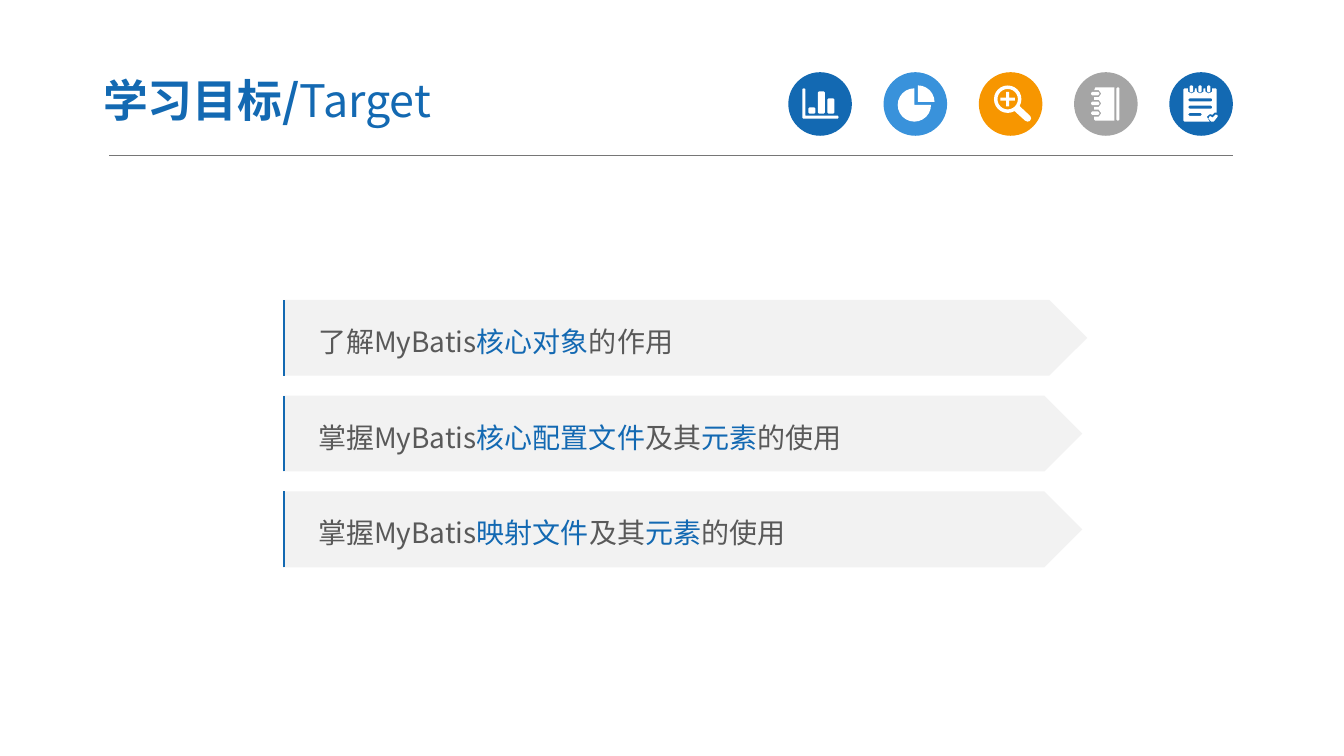
from math import cos, radians, sin
from lxml.etree import SubElement
from pptx import Presentation
from pptx.dml.color import RGBColor
from pptx.enum.shapes import MSO_CONNECTOR, MSO_SHAPE
from pptx.enum.text import MSO_ANCHOR, PP_ALIGN
from pptx.oxml.ns import qn
from pptx.util import Pt

FONT = "Noto Sans CJK SC"
BLUE, SKY, ORANGE, GREY = "1369B2", "3992DB", "F79600", "A5A5A5"
WHITE, PLATE, INK, RULE = "FFFFFF", "F2F2F2", "595959", "767676"
DISC, TOP, LEFT, STEP = 45.4, 51.6, 563.1, 68.04


def color(code):
    return RGBColor.from_string(code)


def shape(parent, kind, box, fill):
    item = parent.shapes.add_shape(kind, *[Pt(v) for v in box])
    item.shadow.inherit = False
    item.fill.solid()
    item.fill.fore_color.rgb = color(fill)
    item.line.fill.background()
    return item


def outline(parent, parts, close=True, x=0, y=0):
    """One freeform from several outlines; inner ones become holes."""
    path = None
    for part in parts:
        first, *rest = [(Pt(x + a), Pt(y + b)) for a, b in part]
        if path is None:
            path = parent.shapes.build_freeform(*first)
        else:
            path.move_to(*first)
        path.add_line_segments(rest, close=close)
    item = path.convert_to_shape()
    item.shadow.inherit = False
    return item


def write(item, runs, size, frame, spacing=1.0):
    """Each run is (text, colour, bold)."""
    box = item.text_frame
    style = {"word_wrap": True, "vertical_anchor": MSO_ANCHOR.MIDDLE, **frame}
    for name, value in style.items():
        setattr(box, name, value)
    para = box.paragraphs[0]
    para.alignment = PP_ALIGN.LEFT
    para.line_spacing = spacing
    for text, tint, bold in runs:
        run = para.add_run()
        run.text = text
        run.font.color.rgb = color(tint)
        for name, value in {"name": FONT, "size": Pt(size), "bold": bold}.items():
            setattr(run.font, name, value)
        SubElement(run._r.get_or_add_rPr(), qn("a:ea"), typeface=FONT)


# Outlines, measured from the corner of the disc
def bar(x, y, w, h, cut=0.8):
    r, b = x + w, y + h
    return [(x + cut, y), (r - cut, y), (r, y + cut), (r, b - cut),
            (r - cut, b), (x + cut, b), (x, b - cut), (x, y + cut)]


def arc(x, y, r, start, end, steps):
    turns = [radians(start + (end - start) * i / steps) for i in range(steps + 1)]
    return [(x + r * cos(t), y + r * sin(t)) for t in turns]


def chart():
    axis = [(10.1, 12), (11.2, 11.5), (12.3, 12), (12.3, 31), (35.4, 31),
            (36, 32.1), (35.4, 33.2), (10.8, 33.2), (10.1, 32.5)]
    return [axis, bar(14.4, 25.2, 5, 4.4), bar(21.2, 13.7, 5, 15.9),
            bar(28, 18.7, 5, 10.9)]


def pie():
    return [[(22, 23.4), *arc(22, 23.4, 11.9, 0, 270, 18)],
            [(24.5, 21.3), *arc(24.5, 21.3, 11.9, 270, 360, 6)]]


def lens():
    x, y, far, thin = 20.6, 19.3, 5.2, 1.1
    rim = arc(x, y, 9.8, 60, 390, 22)
    grip = [(36.8, 31.4), (37.3, 33.2), (36.4, 34.9), (34.7, 35.3), (33, 34.6)]
    arm = [(far, -thin), (far, thin), (thin, thin)]
    plus = []
    for _ in range(4):
        plus += [(x + a, y + b) for a, b in arm]
        arm = [(-b, a) for a, b in arm]
    return [rim + grip, arc(x, y, 7.3, 0, 345, 23), plus]


def book():
    mids = [15.3 + 7 * i for i in range(3)]
    cover = [(15.2, 10.8), (28.8, 10.8), (28.8, 34.6), (15.2, 34.6), (14.4, 33.8)]
    for mid in reversed(mids):
        cover += [(14.4, mid + 2.5), (17.6, mid + 2.5), (19.4, mid),
                  (17.6, mid - 2.5), (14.4, mid - 2.5)]
    rings = [bar(12.2, mid - 1.25, 5.8, 2.5) for mid in mids]
    return [cover, bar(30.2, 10.8, 2.2, 23.8), *rings]


def notes():
    mids = [15.8 + 6.2 * i for i in range(3)]
    sheet = [(10.1, 12.3), (10.9, 11.5)]
    for mid in mids:
        sheet += [(mid - 2.5, 11.5), (mid - 2.3, 14), (mid, 15.2),
                  (mid + 2.3, 14), (mid + 2.5, 11.5)]
    sheet += [(33.1, 11.5), (33.9, 12.3), (33.9, 28.8), (32.4, 28.8), (30.8, 30.4),
              (29, 29.9), (26.8, 31.8), (28.8, 35.3), (10.9, 35.3), (10.1, 34.5)]
    lines = [bar(13.7, 18.7 + 5.2 * i, w, 2.2) for i, w in enumerate([17, 17, 9.4])]
    rings = [bar(mid - 1.2, 9.4, 2.4, 5) for mid in mids]
    tick = [(34.6, 31.7), (31.7, 35.3), (29.9, 35.3), (28, 33.1), (29, 31.2),
            (31, 32.4), (33.1, 30.2), (34.4, 30.6)]
    return [sheet, *lines, *rings, tick]


def icon(slide, x, parts, tint):
    group = slide.shapes.add_group_shape()
    shape(group, MSO_SHAPE.OVAL, (x, TOP, DISC, DISC), tint)
    glyph = outline(group, parts, x=x, y=TOP)
    glyph.fill.solid()
    glyph.fill.fore_color.rgb = color(WHITE)
    glyph.line.fill.background()


def goal(slide, top, wide, runs):
    group = slide.shapes.add_group_shape()
    item = shape(group, MSO_SHAPE.PENTAGON, (202.2, top, wide, 54.2), PLATE)
    tints = [(text, BLUE if i % 2 else INK, False) for i, text in enumerate(runs)]
    write(item, tints, 20, {"margin_left": Pt(25)}, 1.2)
    edge = outline(group, [[(202.9, top + 54.2), (202.9, top)]], close=False)
    edge.fill.background()
    edge.line.color.rgb = color(BLUE)
    edge.line.width = Pt(1.5)


def main():
    deck = Presentation()
    deck.slide_width, deck.slide_height = Pt(960), Pt(540)
    slide = deck.slides.add_slide(deck.slide_layouts[6])

    # Header
    rule = slide.shapes.add_connector(
        MSO_CONNECTOR.STRAIGHT, Pt(78), Pt(111.3), Pt(880.6), Pt(111.3))
    rule.line.color.rgb = color(RULE)
    rule.line.width = Pt(0.5)
    SubElement(rule._element.spPr, qn("a:effectLst"))
    icons = [(chart, BLUE), (pie, SKY), (lens, ORANGE), (book, GREY), (notes, BLUE)]
    for i, (draw, tint) in enumerate(icons):
        icon(slide, LEFT + STEP * i, draw(), tint)
    title = slide.shapes.add_textbox(Pt(64.3), Pt(45.4), Pt(376), Pt(51.8))
    write(title, [("学习目标/", BLUE, True), ("Target", BLUE, False)], 32,
          {"margin_left": Pt(9.4), "margin_right": Pt(9.4),
           "margin_top": Pt(5), "margin_bottom": Pt(5)})

    # Goals: every second run is highlighted
    goals = [
        (574.4, ["了解MyBatis", "核心对象", "的作用"]),
        (570.8, ["掌握MyBatis", "核心配置文件", "及其", "元素", "的使用"]),
        (570.8, ["掌握MyBatis", "映射文件", "及其", "元素", "的使用"])]
    for i, (wide, runs) in enumerate(goals):
        goal(slide, 214.2 + 68.4 * i, wide, runs)

    deck.save("out.pptx")


if __name__ == "__main__":
    main()
